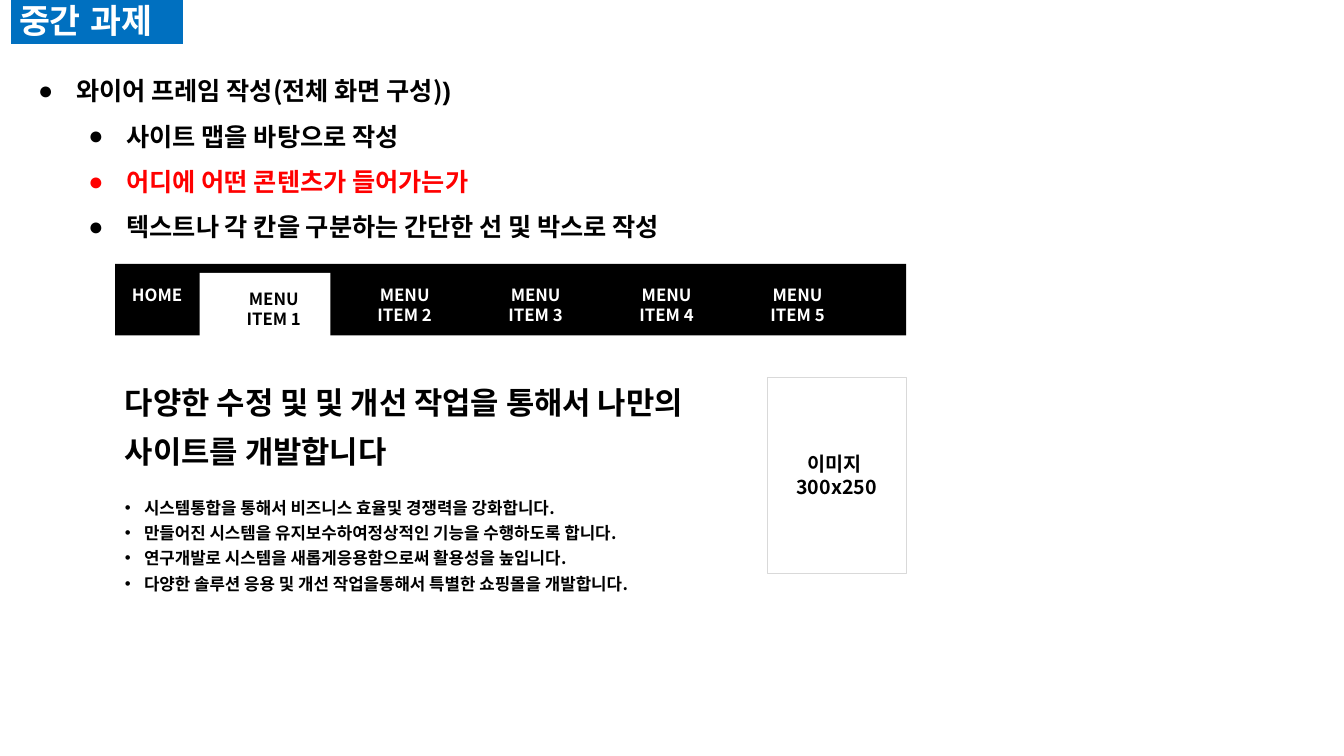
from lxml import etree
from pptx import Presentation
from pptx.dml.color import RGBColor
from pptx.enum.shapes import MSO_SHAPE
from pptx.enum.text import MSO_ANCHOR, MSO_AUTO_SIZE, PP_ALIGN
from pptx.oxml.ns import qn
from pptx.util import Cm, Pt

RECTANGLE = MSO_SHAPE.RECTANGLE
TOP, MIDDLE = MSO_ANCHOR.TOP, MSO_ANCHOR.MIDDLE
GROW = MSO_AUTO_SIZE.SHAPE_TO_FIT_TEXT
LEFT, CENTER = PP_ALIGN.LEFT, PP_ALIGN.CENTER
BLACK, WHITE, RED, BLUE, GREY = "000000", "FFFFFF", "FF0000", "0070C0", "D9D9D9"
KOREAN, LATIN = "Noto Sans CJK KR", "Arial"

TASKS = [
    (1, BLACK, [("와이어 프레임 작성(전체 화면 구성)", KOREAN), (")", LATIN)]),
    (2, BLACK, [("사이트 맵을 바탕으로 작성", KOREAN)]),
    (2, RED, [("어디에 어떤 콘텐츠가 들어가는가", KOREAN)]),
    (2, BLACK, [("텍스트나 각 칸을 구분하는 간단한 선 및 박스로 작성", KOREAN)]),
]
SERVICES = [
    "시스템통합을 통해서 비즈니스 효율및 경쟁력을 강화합니다.",
    "만들어진 시스템을 유지보수하여정상적인 기능을 수행하도록 합니다.",
    "연구개발로 시스템을 새롭게응용함으로써 활용성을 높입니다.",
    "다양한 솔루션 응용 및 개선 작업을통해서 특별한 쇼핑몰을 개발합니다.",
]


def color(value):
    return RGBColor.from_string(value)


class SlideBuilder:
    def __init__(self, slide):
        self.slide = slide
        self.shapes = slide.shapes

    def start_group(self):
        self.shapes = self.slide.shapes.add_group_shape().shapes

    def end_group(self):
        self.shapes = self.slide.shapes

    def rectangle(self, left, top, width, height, fill, line=None, line_width=0, anchor=TOP):
        shape = self.shapes.add_shape(RECTANGLE, Cm(left), Cm(top), Cm(width), Cm(height))
        shape.shadow.inherit = False
        shape.fill.solid()
        shape.fill.fore_color.rgb = color(fill)
        if line:
            shape.line.color.rgb = color(line)
            shape.line.width = Pt(line_width)
        else:
            shape.line.fill.background()
        shape.text_frame.vertical_anchor = anchor
        return shape.text_frame

    def text_box(self, left, top, width, height):
        shape = self.shapes.add_textbox(Cm(left), Cm(top), Cm(width), Cm(height))
        frame = shape.text_frame
        frame.word_wrap = True
        frame.auto_size = GROW
        return frame

    def paragraph(self, frame, runs, size, text_color, align=LEFT, spacing=None,
                  level=0, bullet=None, margin=0, hanging=0):
        first = frame.paragraphs[0]
        paragraph = frame.add_paragraph() if first.runs else first
        paragraph.alignment = align
        paragraph.level = level
        if spacing:
            paragraph.line_spacing = spacing
        if bullet:
            properties = paragraph._p.get_or_add_pPr()
            properties.set("marL", str(Cm(margin)))
            properties.set("indent", str(-Cm(hanging)))
            etree.SubElement(properties, qn("a:buFont")).set("typeface", LATIN)
            etree.SubElement(properties, qn("a:buChar")).set("char", bullet)
        for text, font_name in runs:
            run = paragraph.add_run()
            run.text = text
            run.font.name = font_name
            run.font.size = Pt(size)
            run.font.bold = True
            run.font.color.rgb = color(text_color)
            east_asian = etree.SubElement(run._r.get_or_add_rPr(), qn("a:ea"))
            east_asian.set("typeface", font_name)

    def menu_label(self, left, top, text, text_color):
        frame = self.text_box(left, top, 2.44, 1.27 if " " in text else 0.76)
        self.paragraph(frame, [(text, KOREAN)], 12, text_color, CENTER)


def add_wireframe(builder):
    builder.start_group()
    builder.rectangle(2.9, 6.65, 19.94, 1.8, BLACK)
    builder.rectangle(5.03, 6.88, 3.3, 1.6, WHITE)
    builder.menu_label(2.74, 7.04, "HOME", WHITE)
    for index in range(5):
        active = index == 0
        builder.menu_label(5.68 + 3.3 * index, 7.14 if active else 7.04,
                           f"MENU ITEM {index + 1}", BLACK if active else WHITE)

    headline = builder.text_box(2.9, 9.25, 16.43, 2.62)
    builder.paragraph(headline, [("다양한 수정 및 및 개선 작업을 통해서 나만의 사이트를 개발합니다", KOREAN)],
                      22, BLACK, spacing=Pt(35))
    services = builder.text_box(2.9, 12.29, 17.17, 2.77)
    for service in SERVICES:
        builder.paragraph(services, [(service, KOREAN)], 12, BLACK, spacing=Pt(18),
                          bullet="•", margin=0.48, hanging=0.48)

    image_frame = builder.rectangle(19.33, 9.5, 3.51, 4.95, WHITE, GREY, 0.25, MIDDLE)
    for text in ("이미지 ", "300x250"):
        builder.paragraph(image_frame, [(text, KOREAN)], 14, BLACK, CENTER)
    builder.end_group()


def main():
    presentation = Presentation()
    presentation.slide_width = Cm(33.87)
    presentation.slide_height = Cm(19.05)
    builder = SlideBuilder(presentation.slides.add_slide(presentation.slide_layouts[6]))

    add_wireframe(builder)
    tasks = builder.text_box(-0.56, 1.4, 19.94, 4.72)
    for level, text_color, runs in TASKS:
        builder.paragraph(tasks, runs, 18, text_color, spacing=1.5, level=level,
                          bullet="●", margin=0.96 + 1.27 * level, hanging=0.96)
    title = builder.rectangle(0.23, -0.13, 4.42, 1.27, BLUE, WHITE, 2.25)
    builder.paragraph(title, [("중간 과제", LATIN)], 24, WHITE)

    presentation.save("out.pptx")


if __name__ == "__main__":
    main()
